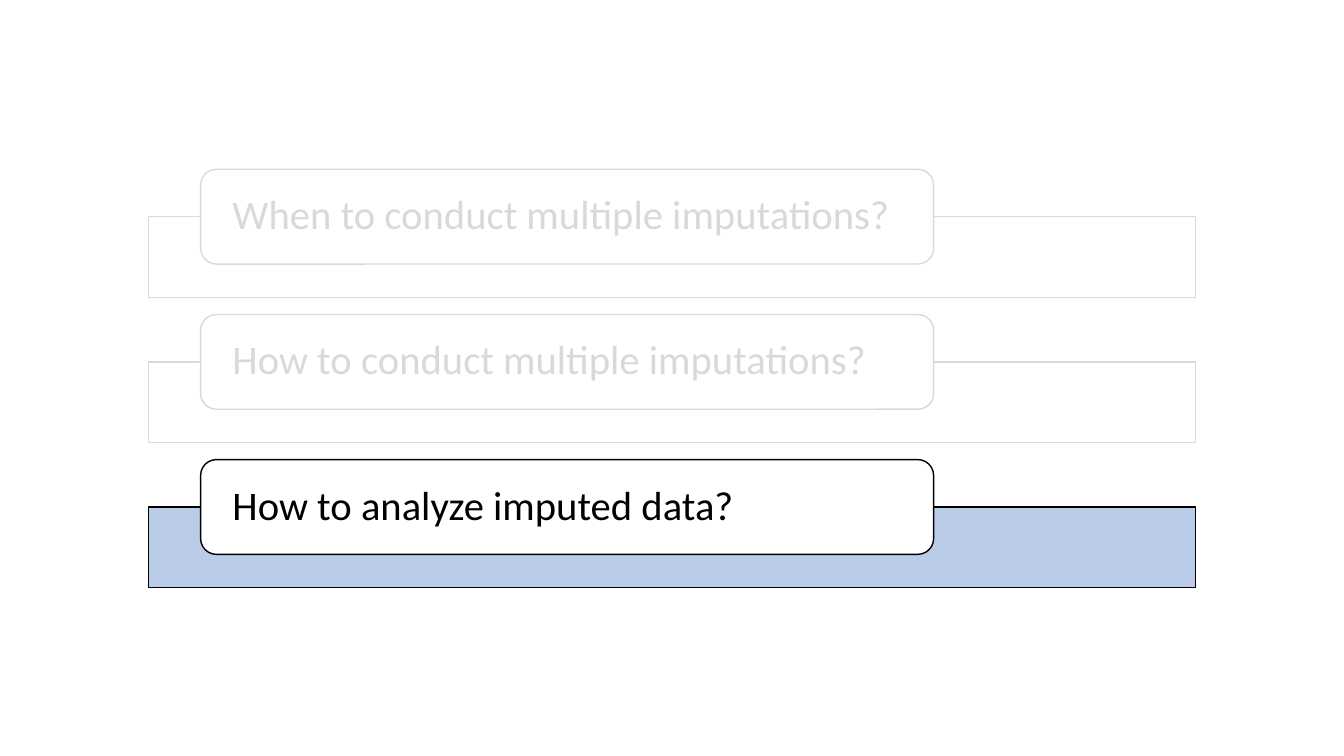
"""Build an agenda slide of three questions with the last one highlighted."""
import pptx
import pptx.dml.color
import pptx.enum.shapes
import pptx.enum.text
import pptx.oxml
import pptx.oxml.ns
import pptx.util
from pptx.util import Inches

RGBColor = pptx.dml.color.RGBColor
MSO_SHAPE = pptx.enum.shapes.MSO_SHAPE

WHITE = RGBColor(0xFF, 0xFF, 0xFF)
BLACK = RGBColor(0x00, 0x00, 0x00)
GREY = RGBColor(0xD9, 0xD9, 0xD9)
BLUE = RGBColor(0xB4, 0xC7, 0xE7)

TOP = 1.68
PITCH = 1.44
QUESTIONS = [
    ("When to conduct multiple imputations?", WHITE, GREY),
    ("How to conduct multiple imputations?", WHITE, GREY),
    ("How to analyze imputed data?", BLUE, BLACK),
]


def add_box(slide, kind, left, top, width, height, fill, line):
    sp = slide.shapes.add_shape(
        kind, Inches(left), Inches(top), Inches(width), Inches(height))
    sp.shadow.inherit = False
    sp.fill.solid()
    sp.fill.fore_color.rgb = fill
    sp.line.color.rgb = line
    sp.line.width = pptx.util.Pt(1)
    return sp


def set_opacity(sp, percent):
    color = sp.fill._xPr.find(".//" + pptx.oxml.ns.qn("a:srgbClr"))
    alpha = pptx.oxml.parse_xml(
        f'<a:alpha {pptx.oxml.ns.nsdecls("a")} val="{percent * 1000}"/>')
    color.append(alpha)


def set_label(sp, text, color):
    tf = sp.text_frame
    tf.text = text
    tf.word_wrap = True
    tf.vertical_anchor = pptx.enum.text.MSO_ANCHOR.MIDDLE
    tf.margin_left = tf.margin_right = Inches(0.27)
    tf.margin_top = tf.margin_bottom = 0
    p = tf.paragraphs[0]
    p.alignment = pptx.enum.text.PP_ALIGN.LEFT
    p.line_spacing = 0.9
    r = p.runs[0]
    r.font.name = "Calibri"
    r.font.size = pptx.util.Pt(29)
    r.font.color.rgb = color


def add_question(slide, top, text, fill, color):
    bar = add_box(slide, MSO_SHAPE.RECTANGLE,
                  1.47, top + 0.47, 10.39, 0.8, fill, color)
    set_opacity(bar, 90)
    label = add_box(slide, MSO_SHAPE.ROUNDED_RECTANGLE,
                    1.99, top, 7.27, 0.94, WHITE, color)
    set_label(label, text, color)


def main():
    prs = pptx.Presentation()
    prs.slide_width = Inches(13.33)
    prs.slide_height = Inches(7.5)
    slide = prs.slides.add_slide(prs.slide_layouts[6])
    for i, (text, fill, color) in enumerate(QUESTIONS):
        add_question(slide, TOP + i * PITCH, text, fill, color)
    prs.save("out.pptx")


if __name__ == "__main__":
    main()
